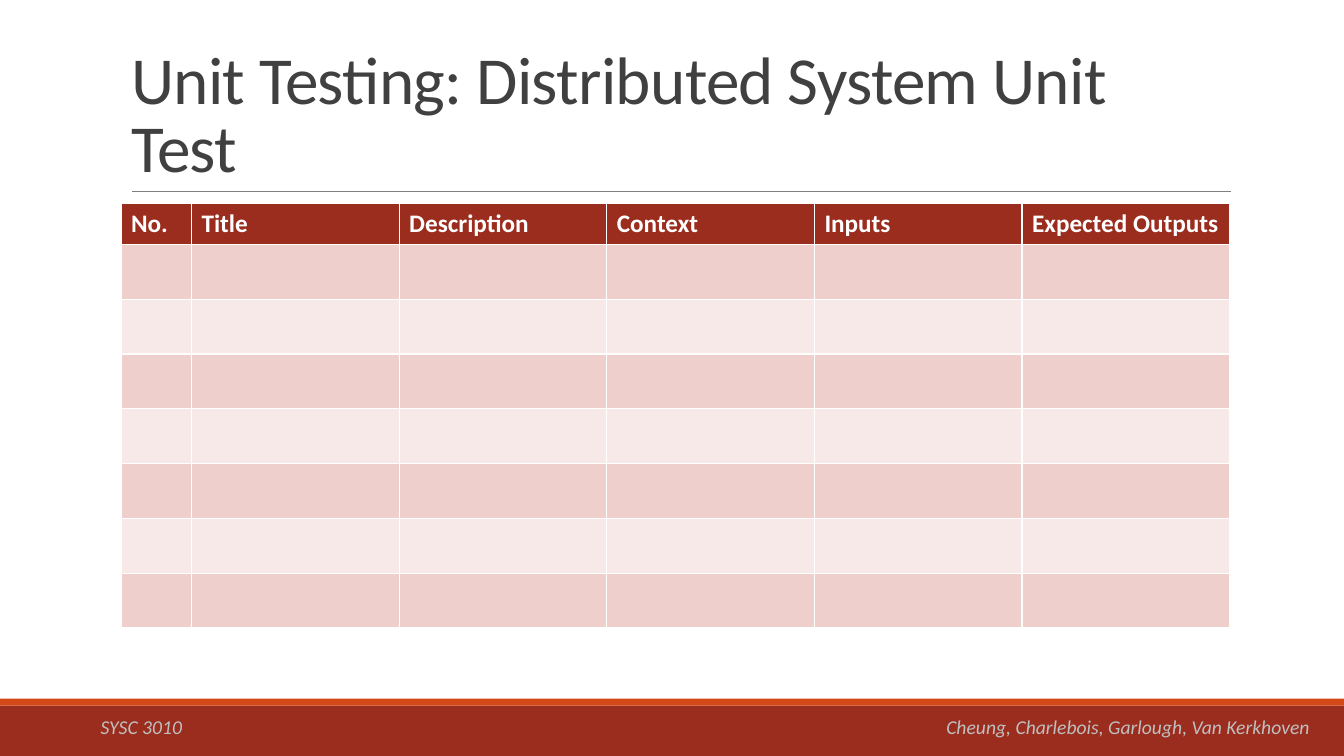
"""Build the unit test table slide for the distributed system."""
from dataclasses import dataclass

from lxml.etree import SubElement
from pptx import Presentation
from pptx.dml.color import RGBColor
from pptx.enum.shapes import MSO_CONNECTOR as Connector, MSO_SHAPE as Shape
from pptx.enum.text import MSO_ANCHOR as Anchor, MSO_AUTO_SIZE as AutoSize, PP_ALIGN as Align
from pptx.oxml.ns import qn
from pptx.util import Inches, Pt

COLORS = {
    "brick": "9B2D1F",
    "orange": "D34817",
    "rule": "808080",
    "title": "404040",
    "white": "FFFFFF",
    "footer": "BFBFBF",
    "odd_row": "EFCFCC",
    "even_row": "F7E9E8",
}
FONT = "Calibri"
SLIDE_WIDTH, SLIDE_HEIGHT = Inches(13.33), Inches(7.5)
HEADINGS = ["No.", "Title", "Description", "Context", "Inputs", "Expected Outputs"]
EMPTY_ROWS = 7
NUMBER_WIDTH, COLUMN_WIDTH = 5.25, 15.45
HEADER_HEIGHT, ROW_HEIGHT = 5.4, 7.25


def across(percent: float) -> int:
    """Return a share of the slide's width."""
    return round(SLIDE_WIDTH * percent / 100)


def down(percent: float) -> int:
    """Return a share of the slide's height."""
    return round(SLIDE_HEIGHT * percent / 100)


@dataclass(frozen=True)
class Region:
    """An area in percent of the slide's size."""

    left: float
    top: float
    width: float
    height: float

    def box(self) -> tuple[int, int, int, int]:
        """Return left, top, width and height as lengths."""
        return across(self.left), down(self.top), across(self.width), down(self.height)


@dataclass(frozen=True)
class Bar:
    """A coloured band at the foot of the slide."""

    region: Region
    color: str


BARS = [
    Bar(Region(0, 93.33, 100, 6.67), "brick"),
    Bar(Region(0, 92.4, 100, 0.93), "orange"),
]
TITLE = Region(9, 4.13, 82.5, 21.2)
TABLE = Region(9, 26.93, NUMBER_WIDTH + COLUMN_WIDTH * (len(HEADINGS) - 1),
               HEADER_HEIGHT + ROW_HEIGHT * EMPTY_ROWS)
FOOTER = Region(6.75, 93.87, 92.25, 4.5)
FOOTER_TAB = 90


def rgb(name: str) -> RGBColor:
    """Return a named colour."""
    return RGBColor.from_string(COLORS[name])


def format_runs(paragraph, size: float, color: str, bold: bool = False,
                italic: bool = False) -> None:
    """Give every run of a paragraph its font."""
    for run in paragraph.runs:
        run.font.name, run.font.size = FONT, Pt(size)
        run.font.bold, run.font.italic = bold, italic
        run.font.color.rgb = rgb(color)


def draw_bar(slide, bar: Bar) -> None:
    """Draw a band without outline."""
    shape = slide.shapes.add_shape(Shape.RECTANGLE, *bar.region.box())
    shape.shadow.inherit = False
    shape.fill.solid()
    shape.fill.fore_color.rgb = rgb(bar.color)
    shape.line.fill.background()


def draw_rule(slide) -> None:
    """Draw the thin line under the title."""
    height = down(25.33)
    rule = slide.shapes.add_connector(Connector.STRAIGHT, across(9.83), height,
                                      across(91.6), height)
    rule.line.color.rgb = rgb("rule")
    rule.line.width = Pt(0.5)
    SubElement(rule.element.spPr, qn("a:effectLst"))


def write_title(slide, text: str) -> None:
    """Place and format the title."""
    title = slide.shapes.title
    title.left, title.top, title.width, title.height = TITLE.box()
    frame = title.text_frame
    frame.text = text
    frame.auto_size = AutoSize.NONE
    frame.vertical_anchor = Anchor.BOTTOM
    paragraph = frame.paragraphs[0]
    paragraph.alignment, paragraph.line_spacing = Align.LEFT, 0.85
    format_runs(paragraph, 48, "title")
    for run in paragraph.runs:
        run.font.element.set("spc", "-50") if hasattr(run.font, "element") else \
            run._r.get_or_add_rPr().set("spc", "-50")


def draw_table(slide) -> None:
    """Draw the header and the banded empty rows."""
    table = slide.shapes.add_table(EMPTY_ROWS + 1, len(HEADINGS), *TABLE.box()).table
    for index, column in enumerate(table.columns):
        column.width = across(COLUMN_WIDTH if index else NUMBER_WIDTH)
    for index, row in enumerate(table.rows):
        row.height = down(ROW_HEIGHT if index else HEADER_HEIGHT)
        band = "odd_row" if index % 2 else "even_row"
        for cell in row.cells:
            cell.fill.solid()
            cell.fill.fore_color.rgb = rgb(band if index else "brick")
    for cell, heading in zip(table.rows[0].cells, HEADINGS):
        cell.text_frame.text = heading
        format_runs(cell.text_frame.paragraphs[0], 18, "white", bold=True)


def write_footer(slide, course: str, authors: str) -> None:
    """Write the course on the left and the authors at a right tab."""
    frame = slide.shapes.add_textbox(*FOOTER.box()).text_frame
    frame.word_wrap = True
    frame.text = f"{course}\t{authors}"
    paragraph = frame.paragraphs[0]
    format_runs(paragraph, 14, "footer", italic=True)
    tabs = SubElement(paragraph._p.get_or_add_pPr(), qn("a:tabLst"))
    SubElement(tabs, qn("a:tab"), pos=str(across(FOOTER_TAB)), algn="r")


def main() -> None:
    """Build and save the presentation."""
    presentation = Presentation()
    presentation.slide_width, presentation.slide_height = SLIDE_WIDTH, SLIDE_HEIGHT
    slide = presentation.slides.add_slide(presentation.slide_layouts[5])
    for bar in BARS:
        draw_bar(slide, bar)
    draw_rule(slide)
    write_title(slide, "Unit Testing: Distributed System Unit Test")
    draw_table(slide)
    write_footer(slide, "SYSC 3010", "Cheung, Charlebois, Garlough, Van Kerkhoven")
    presentation.save("out.pptx")


if __name__ == "__main__":
    main()
